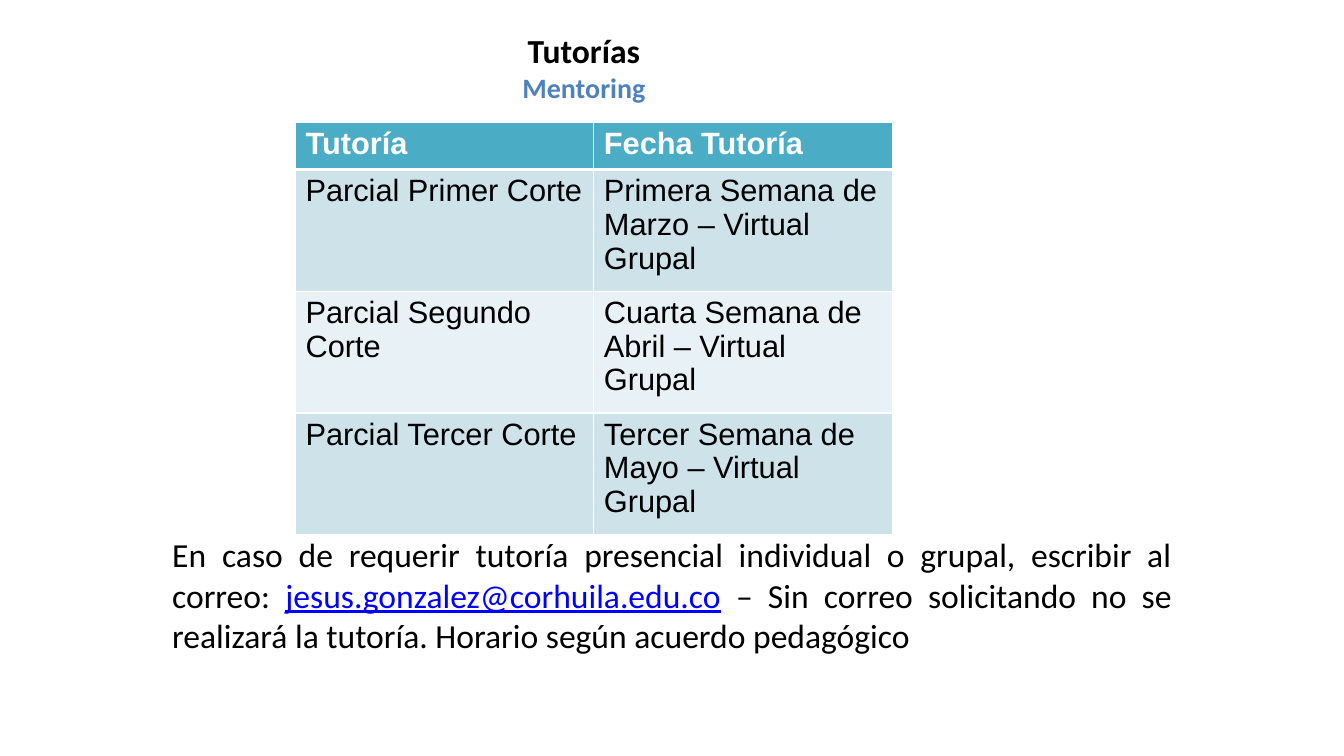
from dataclasses import dataclass

from lxml import etree
from pptx import Presentation
from pptx.dml.color import RGBColor
from pptx.enum.text import PP_ALIGN
from pptx.oxml.ns import qn
from pptx.util import Pt

CENTER = PP_ALIGN.CENTER
LEFT = PP_ALIGN.LEFT
JUSTIFY = PP_ALIGN.JUSTIFY


@dataclass(frozen=True)
class Theme:
    black: str = "000000"
    white: str = "FFFFFF"
    blue: str = "4F81BD"
    link: str = "0000FF"
    head: str = "4BACC6"
    bands: tuple = ("CEE2EA", "E8F1F5")
    body: str = "Calibri"
    grid: str = "Arial"
    large: float = 24
    small: float = 20
    cell: float = 22


theme = Theme()


def add_run(para, text, font, size, color, bold=False, line=False):
    run = para.add_run()
    run.text = text
    run.font.name = font
    run.font.size = Pt(size)
    run.font.bold = bold
    run.font.underline = line
    run.font.color.rgb = RGBColor.from_string(color)


def add_edge(cell, side, width):
    edge = etree.SubElement(cell._tc.get_or_add_tcPr(), qn(f"a:ln{side}"), w=str(Pt(width)))
    fill = etree.SubElement(edge, qn("a:solidFill"))
    etree.SubElement(fill, qn("a:srgbClr"), val=theme.white)


deck = Presentation()
deck.slide_width = Pt(960.5)
deck.slide_height = Pt(540)
slide = deck.slides.add_slide(deck.slide_layouts[6])

title = slide.shapes.add_textbox(Pt(254.2), Pt(18), Pt(326.2), Pt(60.5)).text_frame
title.word_wrap = True
heads = [("Tutorías", theme.large, theme.black), ("Mentoring", theme.small, theme.blue)]
for index, (text, size, color) in enumerate(heads):
    para = title.add_paragraph() if index else title.paragraphs[0]
    para.alignment = CENTER
    add_run(para, text, theme.body, size, color, bold=True)

rows = [
    ("Tutoría", "Fecha Tutoría"),
    ("Parcial Primer Corte", "Primera Semana de Marzo – Virtual Grupal"),
    ("Parcial Segundo Corte", "Cuarta Semana de Abril – Virtual Grupal"),
    ("Parcial Tercer Corte", "Tercer Semana de Mayo – Virtual Grupal"),
]
table = slide.shapes.add_table(4, 2, Pt(211.2), Pt(87.8), Pt(426.4), Pt(294.3)).table
for column in table.columns:
    column.width = Pt(213.2)
for index, texts in enumerate(rows):
    first = index == 0
    table.rows[index].height = Pt(33.3 if first else 87)
    color = theme.white if first else theme.black
    back = theme.head if first else theme.bands[(index - 1) % 2]
    for place, text in enumerate(texts):
        cell = table.cell(index, place)
        para = cell.text_frame.paragraphs[0]
        para.alignment = LEFT
        para.line_spacing = 0.98
        add_run(para, text, theme.grid, theme.cell, color, bold=first)
        for side in "LRTB":
            thick = (first and side == "B") or (index == 1 and side == "T")
            add_edge(cell, side, 3 if thick else 1)
        cell.fill.solid()
        cell.fill.fore_color.rgb = RGBColor.from_string(back)

note = slide.shapes.add_textbox(Pt(116), Pt(378), Pt(728.6), Pt(94.5)).text_frame
note.word_wrap = True
para = note.paragraphs[0]
para.alignment = JUSTIFY
parts = [
    ("En caso de requerir tutoría presencial individual o grupal, escribir al correo: ", False),
    ("jesus.gonzalez@corhuila.edu.co", True),
    (" – Sin correo solicitando no se realizará la tutoría. Horario según acuerdo pedagógico", False),
]
for text, mail in parts:
    color = theme.link if mail else theme.black
    add_run(para, text, theme.body, theme.large, color, line=mail)

deck.save("out.pptx")
